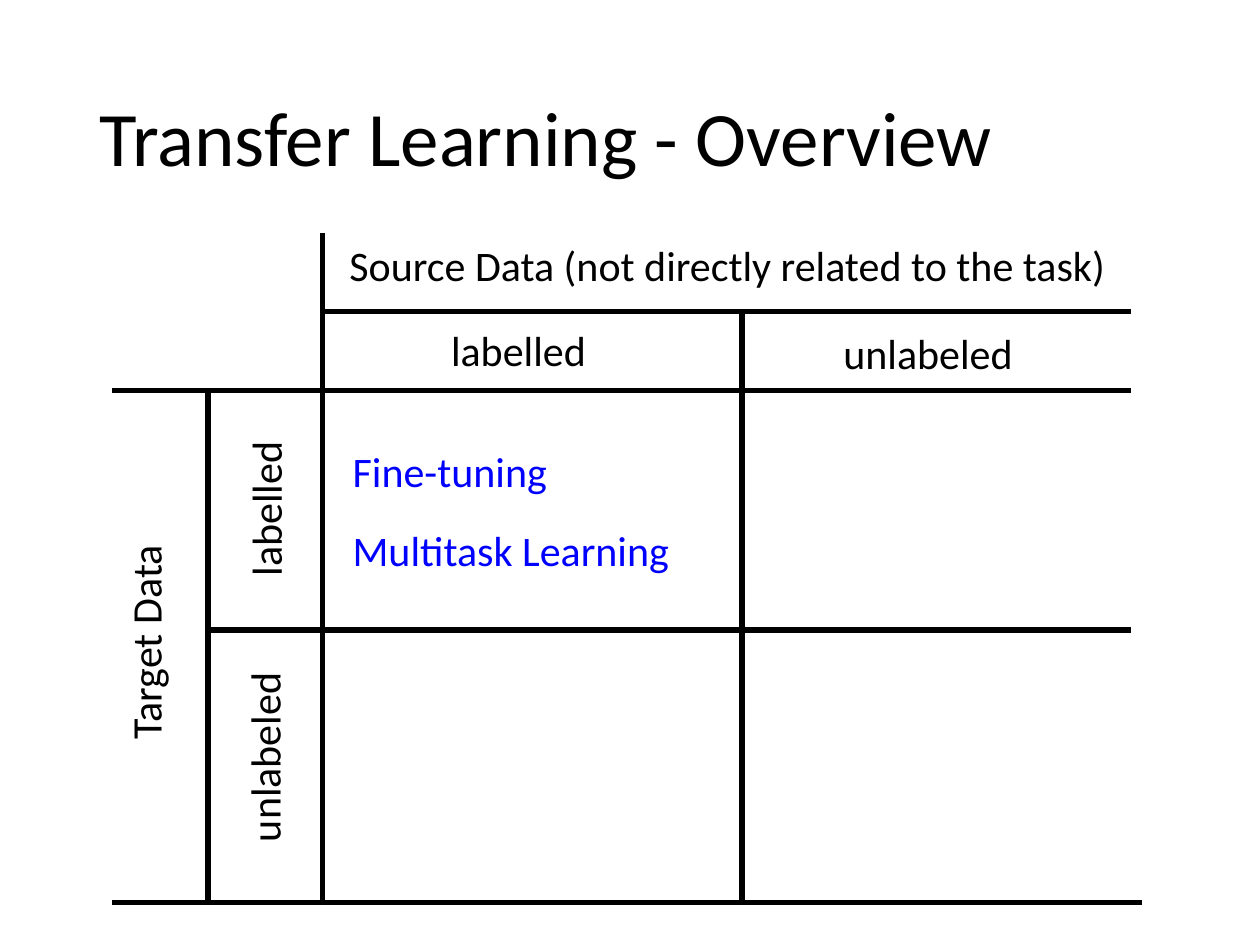
from pptx import Presentation
from pptx.dml.color import RGBColor
from pptx.enum.shapes import MSO_CONNECTOR
from pptx.enum.text import MSO_ANCHOR, MSO_AUTO_SIZE, PP_ALIGN
from pptx.oxml.ns import qn
from pptx.util import Inches, Pt
from lxml import etree

LEFT, CENTER = PP_ALIGN.LEFT, PP_ALIGN.CENTER
MIDDLE = MSO_ANCHOR.MIDDLE
FIT_SHAPE = MSO_AUTO_SIZE.SHAPE_TO_FIT_TEXT
STRAIGHT = MSO_CONNECTOR.STRAIGHT

THEME = {
    "font": "Calibri",
    "ink": RGBColor(0, 0, 0),
    "method": RGBColor(0, 0, 255),
    "title": Pt(44),
    "label": Pt(24),
    "rule": Pt(3),
}


def style_text(frame, size, color, align):
    para = frame.paragraphs[0]
    para.alignment = align
    for span in para.runs:
        span.font.name = THEME["font"]
        span.font.size = size
        span.font.color.rgb = color
    return para


deck = Presentation()
deck.slide_width, deck.slide_height = Inches(10), Inches(7.5)
page = deck.slides.add_slide(deck.slide_layouts[5])

title = page.shapes.title
title.left, title.top = Inches(0.69), Inches(0.4)
title.width, title.height = Inches(8.62), Inches(1.45)
title.text_frame.text = "Transfer Learning - Overview"
title.text_frame.vertical_anchor = MIDDLE
style_text(title.text_frame, THEME["title"], THEME["ink"], LEFT).line_spacing = 0.9

table_left, target_x, source_x, split_x, table_right = 0.89, 1.65, 2.56, 5.89, 8.98
table_top, source_y, body_y, split_y, table_bottom = 1.85, 2.47, 3.1, 5, 7.16

rules = [
    (source_x, table_top, source_x, table_bottom),
    (split_x, source_y, split_x, table_bottom),
    (target_x, body_y, target_x, table_bottom),
    (source_x, source_y, table_right, source_y),
    (table_left, body_y, table_right, body_y),
    (target_x, split_y, table_right, split_y),
    (table_left, table_bottom, 9.06, table_bottom),
]
for ends in rules:
    rule = page.shapes.add_connector(STRAIGHT, *map(Inches, ends))
    rule.line.color.rgb = THEME["ink"]
    rule.line.width = THEME["rule"]
    etree.SubElement(rule._element.spPr, qn("a:effectLst"))

labels = [
    ("Source Data (not directly related to the task) ", source_x, table_top, 6.5, 0, "ink", CENTER),
    ("labelled", 3.27, 2.53, 1.69, 0, "ink", CENTER),
    ("unlabeled", 6.52, 2.55, 1.69, 0, "ink", CENTER),
    ("Target Data ", -0.65, 4.81, 3.6, 270, "ink", CENTER),
    ("labelled", 1.26, 3.79, 1.69, 270, "ink", CENTER),
    ("unlabeled", 1.25, 5.76, 1.69, 270, "ink", CENTER),
    ("Fine-tuning", 2.7, 3.49, 2.82, 0, "method", LEFT),
    ("Multitask Learning", 2.7, 4.11, 2.82, 0, "method", LEFT),
]
for text, left, top, width, rotation, color, align in labels:
    box = page.shapes.add_textbox(Inches(left), Inches(top), Inches(width), Inches(0.5))
    box.rotation = rotation
    box.text_frame.word_wrap = True
    box.text_frame.auto_size = FIT_SHAPE
    box.text_frame.text = text
    style_text(box.text_frame, THEME["label"], THEME[color], align)

deck.save("out.pptx")
